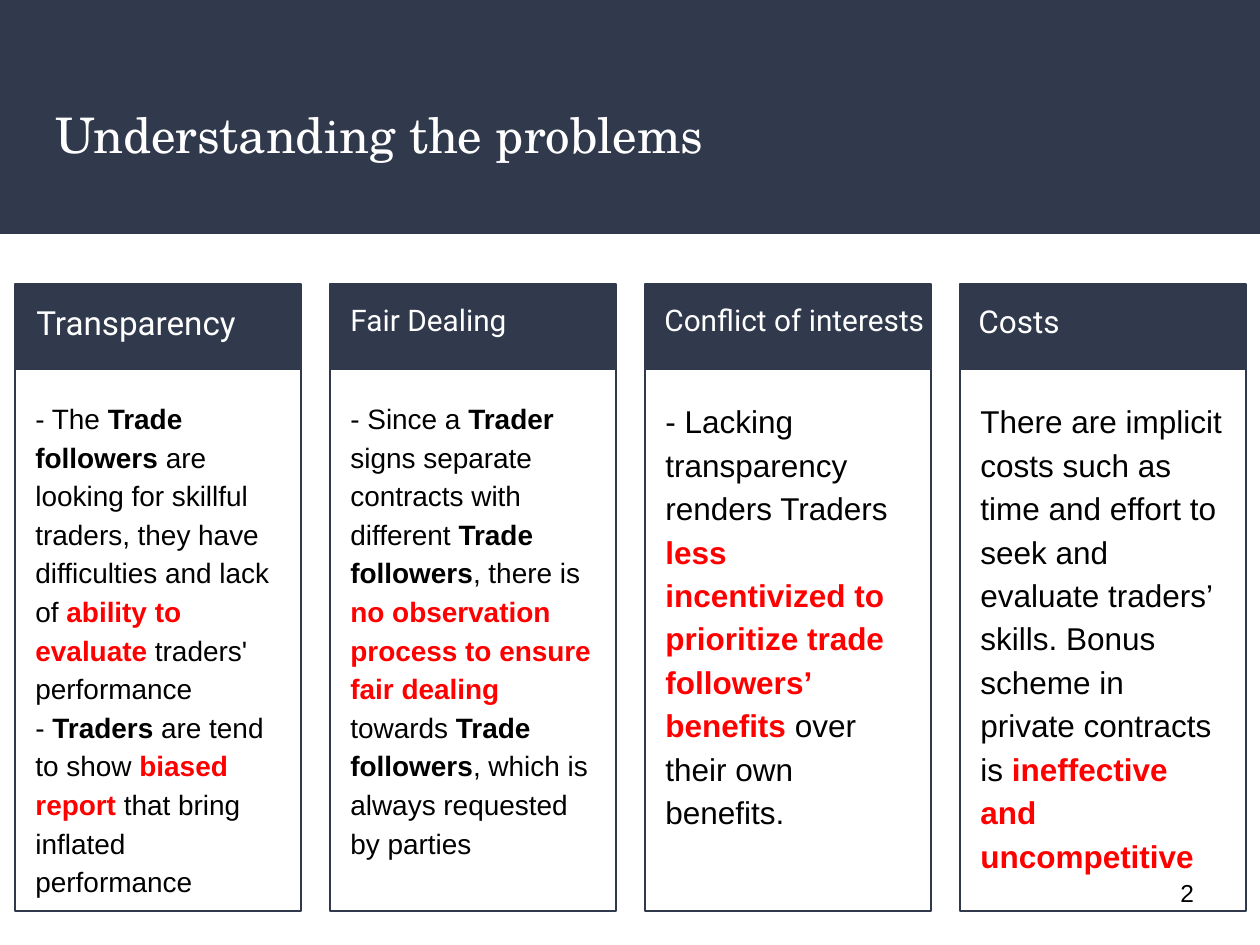
"""Build the "Understanding the problems" slide with four text columns."""
from dataclasses import dataclass

from pptx import Presentation
from pptx.dml.color import RGBColor
from pptx.enum.shapes import MSO_SHAPE
from pptx.enum.text import MSO_ANCHOR
from pptx.util import Emu, Pt

RECT = MSO_SHAPE.RECTANGLE
TOP, MIDDLE = MSO_ANCHOR.TOP, MSO_ANCHOR.MIDDLE
SCALE = 914400 / 126


@dataclass(frozen=True)
class Theme:
    navy: str = "31394D"
    white: str = "FFFFFF"
    black: str = "000000"
    red: str = "FF0000"
    serif: str = "TeX Gyre Schola"
    heading: str = "Roboto"
    body: str = "Arial"
    title_size: int = 28
    number_size: int = 14
    heading_sizes: tuple = (19, 17, 17, 18)
    body_sizes: tuple = (16, 16, 18, 18)
    spacing: float = 1.15


def px(n):
    return Emu(round(n * SCALE))


def add_run(p, text, font, size, color, bold=False):
    r = p.add_run()
    r.text = text
    r.font.name = font
    r.font.size = Pt(size)
    r.font.bold = bold
    r.font.color.rgb = RGBColor.from_string(color)


class Deck:
    def __init__(self, prs, theme):
        self.theme = theme
        self.slide = prs.slides.add_slide(prs.slide_layouts[6])

    def rect(self, x, y, w, h, fill=None, line=None):
        sp = self.slide.shapes.add_shape(RECT, px(x), px(y), px(w), px(h))
        sp.shadow.inherit = False
        if fill:
            sp.fill.solid()
            sp.fill.fore_color.rgb = RGBColor.from_string(fill)
        else:
            sp.fill.background()
        if line:
            sp.line.color.rgb = RGBColor.from_string(line)
            sp.line.width = Pt(0.75)
        else:
            sp.line.fill.background()

    def text(self, x, y, w, h, paragraphs, font, size, color, spacing=None, anchor=TOP):
        sp = self.slide.shapes.add_textbox(px(x), px(y), px(w), px(h))
        tf = sp.text_frame
        tf.word_wrap = True
        tf.vertical_anchor = anchor
        tf.margin_left = tf.margin_right = tf.margin_top = tf.margin_bottom = Pt(7.2)
        for i, runs in enumerate(paragraphs):
            p = tf.add_paragraph() if i else tf.paragraphs[0]
            if spacing:
                p.line_spacing = spacing
            for text, style in runs:
                run_color = self.theme.red if style == "key" else color
                add_run(p, text, font, size, run_color, bold=style != "plain")

    def column(self, i, heading, heading_w, paragraphs):
        t = self.theme
        x = 15 + 315 * i
        self.rect(x, 284, 286, 86, fill=t.navy)
        self.rect(x, 284, 286, 627, line=t.navy)
        self.text(24 + 314 * i, 284, heading_w, 84, [[(heading, "plain")]],
                  t.heading, t.heading_sizes[i], t.white, t.spacing)
        self.text(x + 8, 384, 270, 514, paragraphs,
                  t.body, t.body_sizes[i], t.black, t.spacing)


COLUMNS = [
    ("Transparency", 271, [
        [("- The ", "plain"), ("Trade followers", "bold"),
         (" are looking for skillful traders, they have difficulties and lack of ", "plain"),
         ("ability to evaluate", "key"), (" traders' performance", "plain")],
        [("- ", "plain"), ("Traders ", "bold"), ("are tend to show ", "plain"),
         ("biased report", "key"), (" that bring inflated performance", "plain")],
    ]),
    ("Fair Dealing", 271, [
        [("- Since a ", "plain"), ("Trader", "bold"),
         (" signs separate contracts with different ", "plain"),
         ("Trade followers", "bold"), (", there is ", "plain"),
         ("no observation process to ensure fair dealing", "key"),
         (" towards ", "plain"), ("Trade followers", "bold"),
         (", which is always requested by parties", "plain")],
    ]),
    ("Conflict of interests", 309, [
        [("- Lacking transparency renders Traders ", "plain"),
         ("less incentivized to prioritize trade followers’ benefits ", "key"),
         ("over their own benefits.", "plain")],
    ]),
    ("Costs", 271, [
        [("There are implicit costs such as time and effort to seek and evaluate "
          "traders’ skills. Bonus scheme in private contracts is ", "plain"),
         ("ineffective and uncompetitive", "key")],
    ]),
]


def main():
    prs = Presentation()
    prs.slide_width, prs.slide_height = px(1260), px(945)
    t = Theme()
    deck = Deck(prs, t)
    deck.rect(0, 0, 1260, 234, fill=t.navy)
    deck.text(43, 92, 1174, 115, [[("Understanding the problems", "plain")]],
              t.serif, t.title_size, t.white)
    for i, (heading, heading_w, paragraphs) in enumerate(COLUMNS):
        deck.column(i, heading, heading_w, paragraphs)
    deck.text(1168, 857, 76, 72, [[("2", "plain")]],
              t.body, t.number_size, t.black, anchor=MIDDLE)
    prs.save("out.pptx")


if __name__ == "__main__":
    main()
